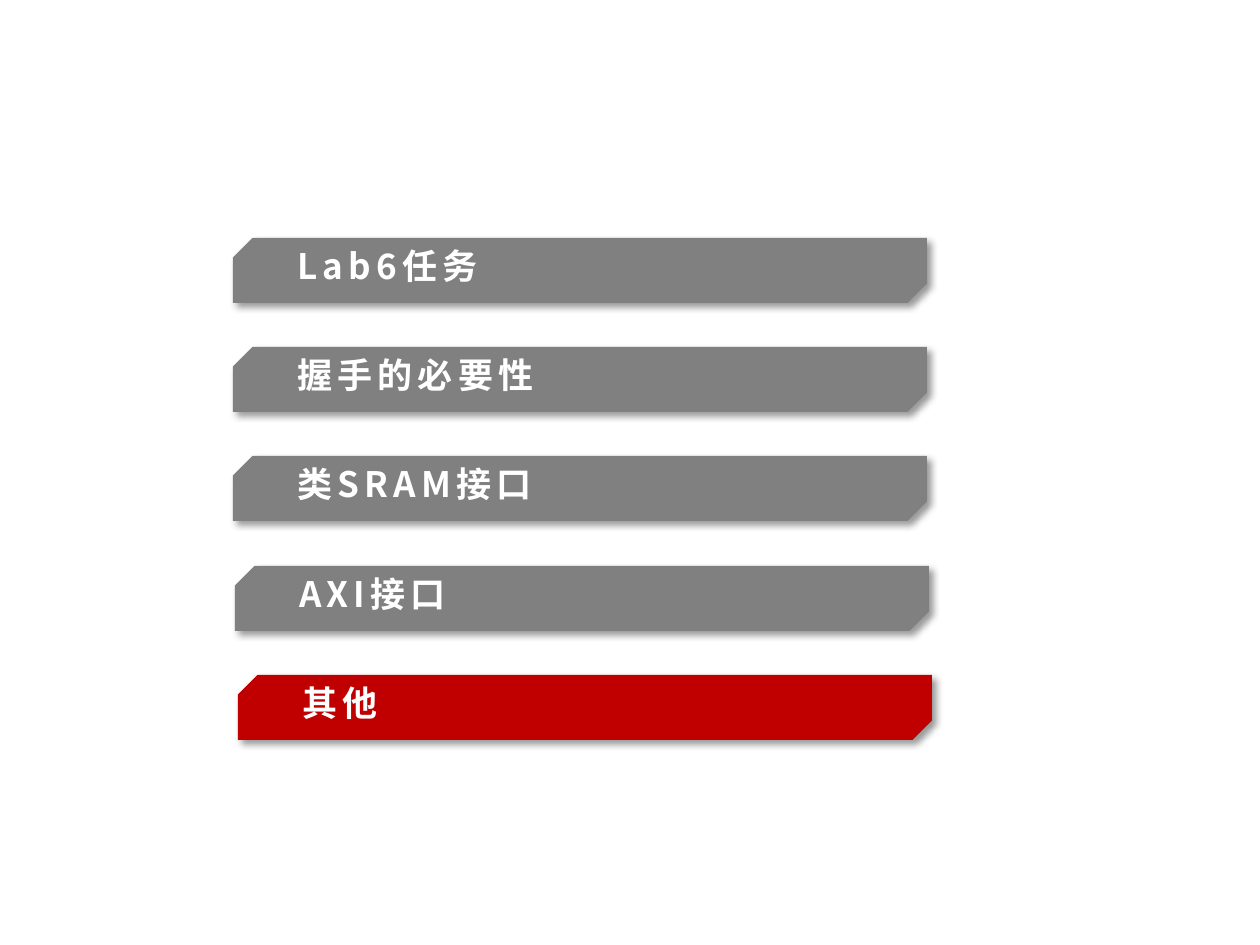
from dataclasses import dataclass

from lxml import etree
from pptx import Presentation
from pptx.dml.color import RGBColor
from pptx.enum.shapes import MSO_SHAPE
from pptx.enum.text import MSO_ANCHOR, MSO_AUTO_SIZE, PP_ALIGN
from pptx.oxml.ns import qn
from pptx.util import Emu, Pt

SNIPPED = MSO_SHAPE.SNIP_2_DIAG_RECTANGLE
MIDDLE = MSO_ANCHOR.MIDDLE
GROW = MSO_AUTO_SIZE.SHAPE_TO_FIT_TEXT
LEFT = PP_ALIGN.LEFT
PX = 914400 / 126  # EMU in one pixel


@dataclass(frozen=True)
class Theme:
    font: str = "Noto Sans CJK SC"
    size: float = 20
    leading: float = 18.8
    tracking: int = 300  # hundredths of a point
    text: str = "FFFFFF"
    idle: str = "808080"
    active: str = "C00000"
    shadow: str = "000000"


def px(length):
    return Emu(round(length * PX))


class AgendaPage:
    def __init__(self, deck, theme):
        self.theme = theme
        self.page = deck.slides.add_slide(deck.slide_layouts[6])

    def bar(self, label, left, top, width, height, color):
        box = self.page.shapes.add_shape(SNIPPED, px(left), px(top), px(width), px(height))
        box.adjustments[0], box.adjustments[1] = 0.299, 0
        box.fill.solid()
        box.fill.fore_color.rgb = RGBColor.from_string(color)
        box.line.fill.background()
        self.drop_shadow(box)
        self.label(box, label)

    def drop_shadow(self, box):
        box.shadow.inherit = False
        effects = box._element.spPr.find(qn("a:effectLst"))
        shadow = etree.SubElement(effects, qn("a:outerShdw"), blurRad=str(Pt(4)),
                                  dist=str(Pt(3)), dir="2700000", algn="tl", rotWithShape="0")
        color = etree.SubElement(shadow, qn("a:srgbClr"), val=self.theme.shadow)
        etree.SubElement(color, qn("a:alpha"), val="40000")

    def label(self, box, text):
        theme = self.theme
        frame = box.text_frame
        para = frame.paragraphs[0]
        span = para.add_run()
        span.text = text
        formats = {
            frame: {"word_wrap": True, "auto_size": GROW, "vertical_anchor": MIDDLE},
            para: {"alignment": LEFT, "line_spacing": Pt(theme.leading)},
            span.font: {"name": theme.font, "size": Pt(theme.size), "bold": True},
        }
        for target, values in formats.items():
            for name, value in values.items():
                setattr(target, name, value)
        span.font.color.rgb = RGBColor.from_string(theme.text)

        # First-line indent, letter spacing and East Asian font
        indent = para._p.get_or_add_pPr()
        indent.set("marL", "0")
        indent.set("indent", str(px(42)))
        properties = span._r.get_or_add_rPr()
        properties.set("spc", str(theme.tracking))
        etree.SubElement(properties, qn("a:ea"), typeface=theme.font)


def main():
    deck = Presentation()
    deck.slide_width, deck.slide_height = px(1260), px(945)
    theme = Theme()
    agenda = AgendaPage(deck, theme)

    # Agenda bars, the current topic in red
    topics = [("Lab6任务", 233), ("握手的必要性", 233), ("类SRAM接口", 233),
              ("AXI接口", 235), ("其他", 238)]
    current = "其他"
    first_top, pitch = 238, 109.25
    for row, (topic, left) in enumerate(topics):
        color = theme.active if topic == current else theme.idle
        agenda.bar(topic, left, round(first_top + row * pitch), 694, 65, color)

    deck.save("out.pptx")


if __name__ == "__main__":
    main()
